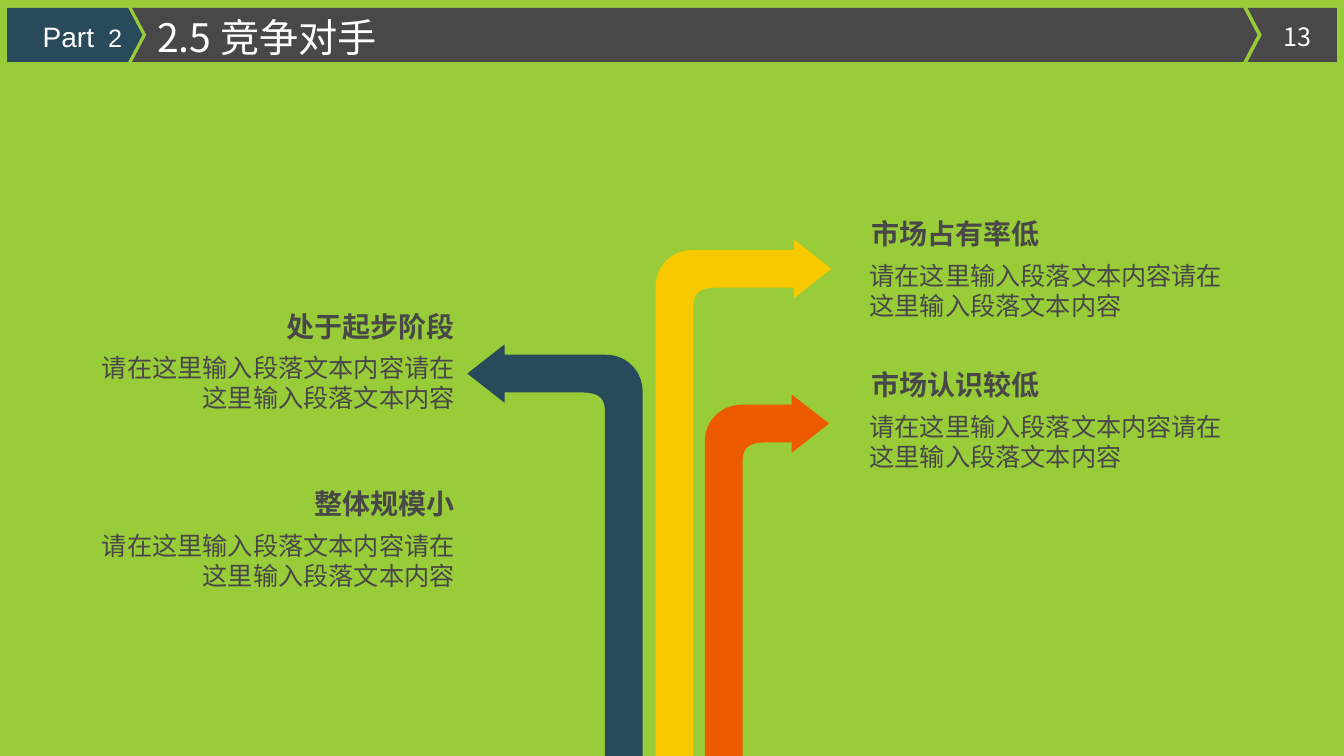
from lxml.etree import SubElement
from pptx import Presentation
from pptx.dml.color import RGBColor
from pptx.enum.text import MSO_ANCHOR, MSO_AUTO_SIZE, PP_ALIGN
from pptx.oxml.ns import qn
from pptx.util import Cm, Pt

GREEN = RGBColor(0x99, 0xCC, 0x39)
NAVY = RGBColor(0x29, 0x4A, 0x5A)
GREY = RGBColor(0x48, 0x48, 0x49)
YELLOW = RGBColor(0xF9, 0xC9, 0x00)
ORANGE = RGBColor(0xED, 0x5A, 0x00)
WHITE = RGBColor(0xFF, 0xFF, 0xFF)
CHINESE_FONT = "Noto Sans CJK SC"
LATIN_FONT = "Arial"
PAGE_WIDTH, PAGE_HEIGHT = 33.88, 19.05
BODY = "请在这里输入段落文本内容请在这里输入段落文本内容"


def curve(start, control_1, control_2, end, steps=16):
    """Return points along a cubic curve, both ends included."""
    points = []
    for step in range(steps + 1):
        t = step / steps
        weights = ((1 - t) ** 3, 3 * t * (1 - t) ** 2, 3 * t * t * (1 - t), t ** 3)
        points.append(tuple(
            sum(weight * value for weight, value in zip(weights, values))
            for values in zip(start, control_1, control_2, end)
        ))
    return points


class SlideBuilder:
    """Hold the style and the current slide, and add elements to it."""

    def __init__(self, deck):
        """Open a title-only page with the green background."""
        self.page = deck.slides.add_slide(deck.slide_layouts[5])
        fill = self.page.background.fill
        fill.solid()
        fill.fore_color.rgb = GREEN

    def outline(self, points, color):
        """Add a filled closed outline through points given in centimetres."""
        corners = [(Cm(x), Cm(y)) for x, y in points]
        builder = self.page.shapes.build_freeform(*corners[0])
        builder.add_line_segments(corners[1:], close=True)
        shape = builder.convert_to_shape()
        shape.shadow.inherit = False
        shape.fill.solid()
        shape.fill.fore_color.rgb = color
        shape.line.fill.background()

    def band(self, left, right, color, notched, pointed):
        """Add one header band with an optional notch and point."""
        top, middle, bottom, depth = 0.2, 0.88, 1.56, 0.36
        points = [(left, top), (right, top)]
        if pointed:
            points.append((right + depth, middle))
        points += [(right, bottom), (left, bottom)]
        if notched:
            points.append((left + depth, middle))
        self.outline(points, color)

    def bent_arrow(self, stem, top, tip, color):
        """Add an arrow that rises from the page bottom and bends to its tip."""
        side = 1 if tip > stem else -1
        thick, radius, head, flare = 0.95, 0.92, 0.94, 0.26
        neck = (tip - stem) * side - head
        inner = curve((1.55, thick), (1.17, thick), (thick, 1.04), (thick, 1.42))
        outer = curve((0, radius), (0, 0.41), (0.41, 0), (radius, 0))
        foot = PAGE_HEIGHT - top
        points = [
            (neck, 0), (neck, -flare), (neck + head, thick / 2),
            (neck, thick + flare), (neck, thick),
            *inner, (thick, foot), (0, foot), *outer,
        ]
        self.outline([(stem + side * x, top + y) for x, y in points], color)

    def style(self, span, size, color, font, bold=False):
        """Format one run."""
        span.font.name = font
        span.font.size = Pt(size)
        span.font.bold = bold
        span.font.color.rgb = color
        SubElement(span.font._element, qn("a:ea")).set("typeface", font)

    def fill_text(self, box, text, size, color, align, font=CHINESE_FONT, bold=False):
        """Put a single formatted paragraph into a box."""
        frame = box.text_frame
        frame.text = text
        frame.word_wrap = True
        frame.auto_size = MSO_AUTO_SIZE.NONE
        frame.vertical_anchor = MSO_ANCHOR.TOP
        frame.margin_top = Cm(0.2)
        para = frame.paragraphs[0]
        para.alignment = align
        para.line_spacing = Pt(size * 1.2)
        self.style(para.runs[0], size, color, font, bold)
        return para

    def label(self, place, *text_style, **options):
        """Add a text box at left, top, width, height in centimetres."""
        box = self.page.shapes.add_textbox(*map(Cm, place))
        return self.fill_text(box, *text_style, **options)

    def title(self, place, text):
        """Bring the title placeholder to the front and format it."""
        box = self.page.shapes.title
        self.page.shapes._spTree.append(box._element)
        box.left, box.top, box.width, box.height = map(Cm, place)
        self.fill_text(box, text, 28, WHITE, PP_ALIGN.LEFT)

    def topic(self, edge, top, heading, align):
        """Add a heading and its text, aligned to the given outer edge."""
        heading_width, body_width = 5.54, 9.47
        if align == PP_ALIGN.RIGHT:
            heading_left, body_left = edge - heading_width, edge - body_width
        else:
            heading_left, body_left = edge + 0.05, edge
        self.label((heading_left, top, heading_width, 1.12),
                   heading, 20, GREY, align, bold=True)
        self.label((body_left, top + 1.09, body_width, 1.8), BODY, 18, GREY, align)


def main():
    """Build the competitor slide and save it."""
    deck = Presentation()
    deck.slide_width, deck.slide_height = Cm(PAGE_WIDTH), Cm(PAGE_HEIGHT)
    slide = SlideBuilder(deck)

    slide.band(0.18, 3.23, NAVY, notched=False, pointed=True)
    slide.band(3.33, 31.34, GREY, notched=True, pointed=True)
    slide.band(31.45, 33.7, GREY, notched=True, pointed=False)
    slide.label((32.03, 0.33, 1.37, 1.02), "13", 18, WHITE, PP_ALIGN.CENTER)
    slide.title((3.71, 0.13, 14, 1.45), "2.5 竞争对手")
    part = slide.label((0.38, 0.3, 2.95, 1.12), "Part", 20, WHITE,
                       PP_ALIGN.RIGHT, font=LATIN_FONT)
    number = part.add_run()
    number.text = "  2"
    slide.style(number, 18, WHITE, LATIN_FONT)

    for stem, top, tip, color in (
        (16.53, 6.3, 20.96, YELLOW),
        (17.77, 10.2, 20.9, ORANGE),
        (16.2, 8.94, 11.78, NAVY),
    ):
        slide.bent_arrow(stem, top, tip, color)

    for edge, top, heading, align in (
        (21.67, 9.07, "市场认识较低", PP_ALIGN.LEFT),
        (21.67, 5.26, "市场占有率低", PP_ALIGN.LEFT),
        (11.71, 7.59, "处于起步阶段", PP_ALIGN.RIGHT),
        (11.71, 12.07, "整体规模小", PP_ALIGN.RIGHT),
    ):
        slide.topic(edge, top, heading, align)

    deck.save("out.pptx")


if __name__ == "__main__":
    main()
